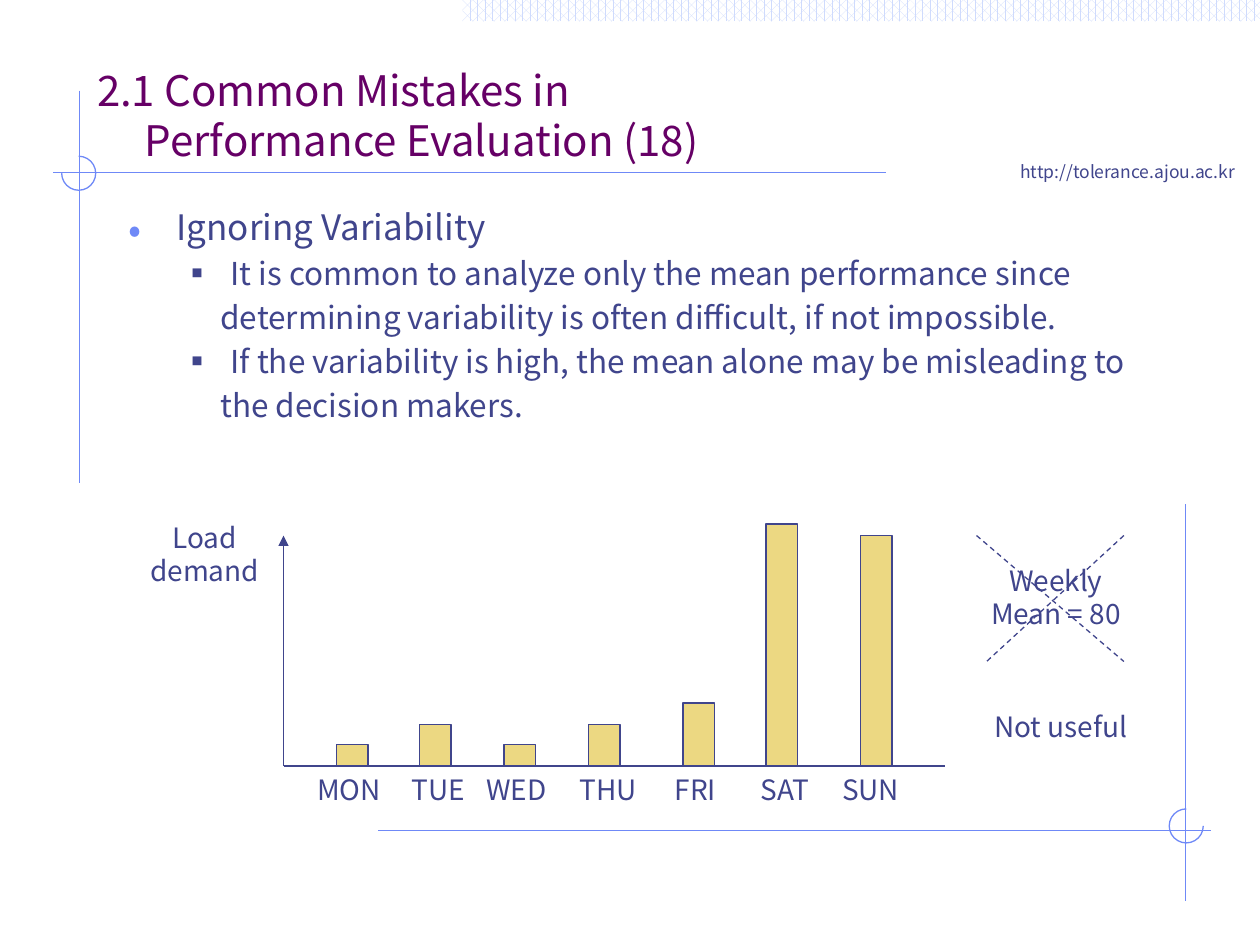
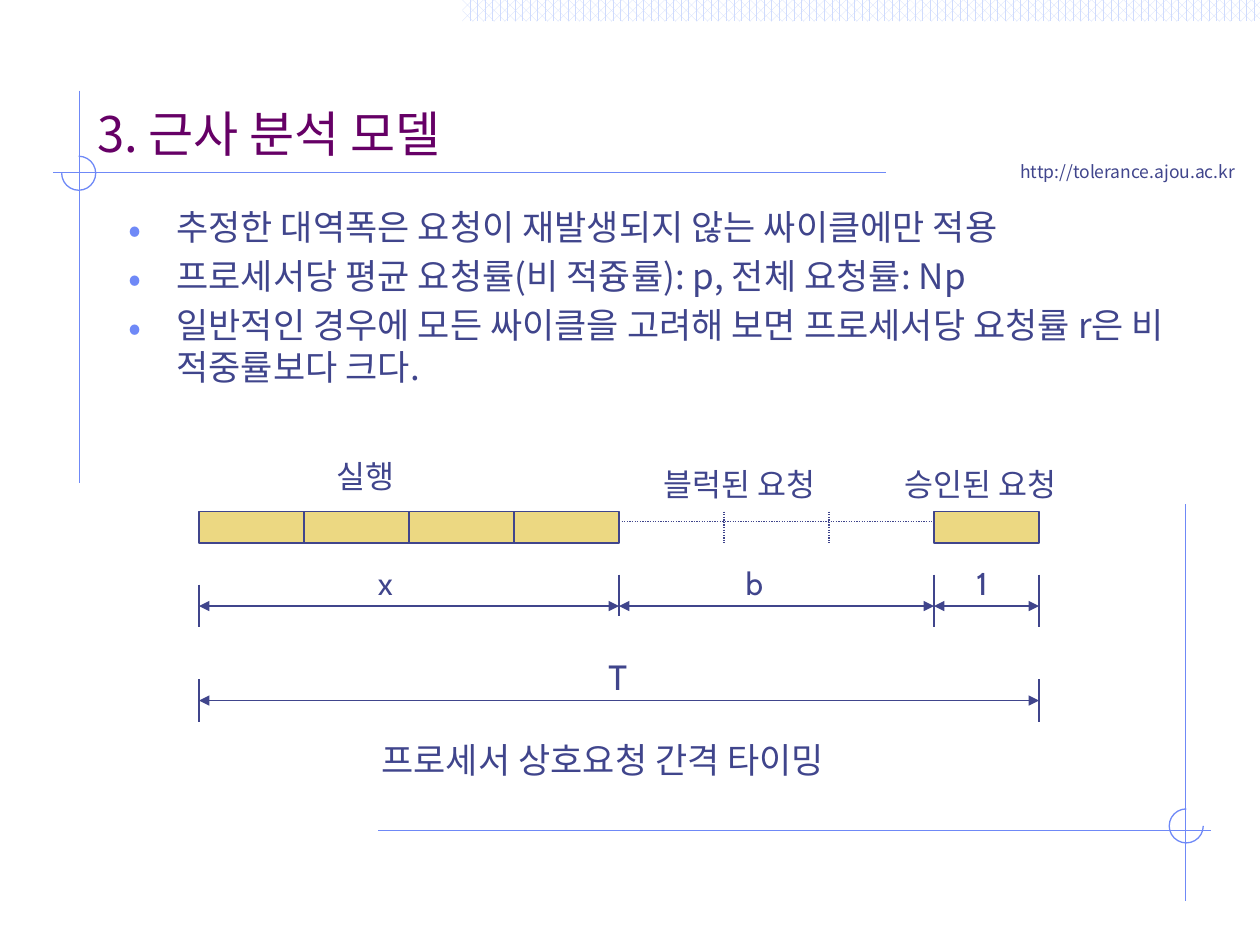
from dataclasses import dataclass

from lxml.etree import SubElement
from pptx import Presentation
from pptx.dml.color import RGBColor
from pptx.enum.dml import MSO_LINE, MSO_PATTERN
from pptx.enum.shapes import MSO_CONNECTOR, MSO_SHAPE
from pptx.enum.text import MSO_ANCHOR, MSO_AUTO_SIZE, PP_ALIGN
from pptx.oxml.ns import qn
from pptx.util import Inches, Pt


@dataclass(frozen=True)
class Theme:
    ink: str = "40458C"
    accent: str = "6F89F7"
    title: str = "660066"
    bar: str = "ECD882"
    band: str = "CFDBFD"
    paper: str = "FFFFFF"
    font: str = "Noto Sans CJK KR"
    diagram_font: str = "Cabin"
    line: float = 0.75
    small: int = 10
    label: int = 16
    detail: int = 18
    body: int = 20
    title_long: int = 24
    title_short: int = 28


THEME = Theme()

# Shared frame: lines, then arcs as (left, top, start degrees, end degrees)
SITE = "http://tolerance.ajou.ac.kr"
FRAME_LINES = [
    (3, 6.59, 9.61, 6.59), (9.41, 4, 9.41, 7.15),
    (0.63, 0.72, 0.63, 3.83), (7.03, 1.37, 0.42, 1.37),
]
FRAME_ARCS = [(9.28, 6.42, 0, 270), (0.49, 1.24, 270, 180)]
ARC_SIZE = 0.27

# Paragraph styles: left margin, indent, size, bullet (character, colour, percent)
STYLES = {
    "point": (0.38, -0.38, THEME.body, ("•", THEME.accent, 110)),
    "detail": (0.81, -0.31, THEME.detail, ("■", THEME.ink, 35)),
    "more": (0.73, 0, THEME.detail, None),
}

# Slide 1 content
MISTAKES_TITLE = [("2.1 Common Mistakes in", 0), ("Performance Evaluation (18)", 0.38)]
MISTAKES_BODY = [
    ("point", "Ignoring Variability"),
    ("detail", "It is common to analyze only the mean performance since"),
    ("more", "determining variability is often difficult, if not impossible."),
    ("detail", "If the variability is high, the mean alone may be misleading to"),
    ("more", "the decision makers."),
]
# Day, bar left, bar height, label centre
DAYS = [
    ("MON", 2.67, 0.17, 2.77), ("TUE", 3.33, 0.33, 3.48), ("WED", 4, 0.17, 4.1),
    ("THU", 4.67, 0.33, 4.83), ("FRI", 5.42, 0.5, 5.52),
    ("SAT", 6.08, 1.92, 6.23), ("SUN", 6.83, 1.83, 6.91),
]
LOAD_NOTES = [
    ("Load demand", 1, 4.08, 1.25, 0.64),
    ("Weekly Mean = 80", 7.67, 4.42, 1.42, 0.64),
    ("Not useful", 7.67, 5.58, 1.5, 0.37),
]
CROSS = [(8.92, 4.25, 7.83, 5.25), (7.75, 4.25, 8.92, 5.25)]

# Slide 2 content
MODEL_TITLE = [("3. 근사 분석 모델", 0)]
MODEL_BODY = [
    ("point", "추정한 대역폭은 요청이 재발생되지 않는 싸이클에만 적용"),
    ("point", "프로세서당 평균 요청률(비 적즁률): p, 전체 요청률: Np"),
    ("point", "일반적인 경우에 모든 싸이클을 고려해 보면 프로세서당 요청률 r은 비 적중률보다 크다."),
]
# Cycle positions count from the left end of the timing bar
BUSY_CYCLES = [0, 1, 2, 3, 7]
BLOCKED_MARKS = [5, 6]
# Cycle, top, bottom
TICKS = [(0, 4.64, 4.98), (4, 4.56, 4.89), (7, 4.56, 4.98), (8, 4.56, 4.98),
         (0, 5.39, 5.73), (8, 5.39, 5.73)]
# First cycle, last cycle, height on the slide
SPANS = [(0, 4, 4.81), (4, 7, 4.81), (7, 8, 4.81), (0, 8, 5.56)]
# Text, left, top, width, size
TIMING_LABELS = [
    ("실행", 2.57, 3.58, 0.7, THEME.detail),
    ("블럭된 요청", 5.17, 3.64, 1.53, THEME.detail),
    ("승인된 요청", 7.08, 3.64, 1.53, THEME.detail),
    ("x", 2.9, 4.43, 0.32, THEME.detail),
    ("b", 5.82, 4.43, 0.34, THEME.detail),
    ("1", 7.65, 4.43, 0.34, THEME.detail),
    ("T", 4.73, 5.15, 0.36, THEME.body),
    ("프로세서 상호요청 간격 타이밍", 2.93, 5.81, 4.07, THEME.body),
]


# Drawing helpers
def rgb(value):
    return RGBColor.from_string(value)


def place(shape, left, top, width, height):
    shape.left, shape.top = Inches(left), Inches(top)
    shape.width, shape.height = Inches(width), Inches(height)


def add_span(para, text, size, color=THEME.ink, font=THEME.font):
    span = para.add_run()
    span.text = text
    span.font.size = Pt(size)
    span.font.color.rgb = rgb(color)
    span.font.name = font
    east_asian = SubElement(span.font._element, qn("a:ea"))
    east_asian.set("typeface", THEME.font)


def add_label(page, text, left, top, width, height, size,
              font=THEME.font, align=PP_ALIGN.LEFT, wrap=False):
    box = page.shapes.add_textbox(*map(Inches, (left, top, width, height)))
    box.text_frame.word_wrap = wrap
    para = box.text_frame.paragraphs[0]
    para.alignment = align
    add_span(para, text, size, font=font)
    return box


def add_line(page, x1, y1, x2, y2, color=THEME.ink, dash=None, arrows=()):
    line = page.shapes.add_connector(MSO_CONNECTOR.STRAIGHT, *map(Inches, (x1, y1, x2, y2)))
    line.line.color.rgb = rgb(color)
    line.line.width = Pt(THEME.line)
    if dash:
        line.line.dash_style = dash
    for end in arrows:
        SubElement(line.line._get_or_add_ln(), qn(f"a:{end}")).set("type", "triangle")
    SubElement(line._element.spPr, qn("a:effectLst"))
    return line


def add_preset(page, kind, left, top, width, height):
    shape = page.shapes.add_shape(kind, *map(Inches, (left, top, width, height)))
    shape.shadow.inherit = False
    shape.line.width = Pt(THEME.line)
    return shape


def add_bar(page, left, top, width, height):
    bar = add_preset(page, MSO_SHAPE.RECTANGLE, left, top, width, height)
    bar.fill.solid()
    bar.fill.fore_color.rgb = rgb(THEME.bar)
    bar.line.color.rgb = rgb(THEME.ink)


def set_indent(para, margin, indent, bullet=None):
    props = para._p.get_or_add_pPr()
    props.set("marL", str(Inches(margin)))
    props.set("indent", str(Inches(indent)))
    if not bullet:
        SubElement(props, qn("a:buNone"))
        return
    char, color, percent = bullet
    SubElement(SubElement(props, qn("a:buClr")), qn("a:srgbClr")).set("val", color)
    SubElement(props, qn("a:buSzPct")).set("val", str(percent * 1000))
    SubElement(props, qn("a:buFont")).set("typeface", THEME.font)
    SubElement(props, qn("a:buChar")).set("char", char)


# Shared parts
def build_frame(deck, page):
    """Draw the frame on a page, then move it to the master."""
    band = add_preset(page, MSO_SHAPE.RECTANGLE, 3.67, 0, 6.33, 0.17)
    band.fill.patterned()
    band.fill.pattern = MSO_PATTERN.PERCENT_60
    band.fill.fore_color.rgb = rgb(THEME.band)
    band.fill.back_color.rgb = rgb(THEME.paper)
    band.line.fill.background()
    parts = [band, add_label(page, SITE, 8, 1.23, 1.9, 0.27, THEME.small)]
    parts += [add_line(page, *ends, color=THEME.accent) for ends in FRAME_LINES]
    for left, top, start, end in FRAME_ARCS:
        arc = add_preset(page, MSO_SHAPE.ARC, left, top, ARC_SIZE, ARC_SIZE)
        arc.adjustments[0], arc.adjustments[1] = start * 0.6, end * 0.6
        arc.fill.background()
        arc.line.color.rgb = rgb(THEME.accent)
        parts.append(arc)
    for part in parts:
        deck.slide_master.shapes.element.append(part.element)


def add_page(deck, title, title_size, title_area, body, body_area):
    page = deck.slides.add_slide(deck.slide_layouts[1])
    heading, content = page.shapes.title, page.placeholders[1]
    place(heading, *title_area)
    place(content, *body_area)
    for holder, anchor in ((heading, MSO_ANCHOR.BOTTOM), (content, MSO_ANCHOR.TOP)):
        holder.text_frame.auto_size = MSO_AUTO_SIZE.NONE
        holder.text_frame.vertical_anchor = anchor
        holder.text_frame.word_wrap = True

    def next_para(frame, index):
        return frame.add_paragraph() if index else frame.paragraphs[0]

    for index, (text, margin) in enumerate(title):
        para = next_para(heading.text_frame, index)
        set_indent(para, margin, 0)
        para.alignment = PP_ALIGN.LEFT
        add_span(para, text, title_size, THEME.title)
    for index, (style, text) in enumerate(body):
        margin, indent, size, bullet = STYLES[style]
        para = next_para(content.text_frame, index)
        para.level = 0 if style == "point" else 1
        set_indent(para, margin, indent, bullet)
        para.space_before = Pt(size * 0.2 if index else 0)
        add_span(para, text, size)
    return page


# Slide 1: weekly load
def draw_load(page):
    base, axis, bar_width, label_width = 6.08, 2.25, 0.25, 0.9
    add_line(page, axis, base, 7.5, base)
    add_line(page, axis, base, axis, 4.25, arrows=["tailEnd"])
    for day, left, height, centre in DAYS:
        add_bar(page, left, base - height, bar_width, height)
        add_label(page, day, centre - label_width / 2, base, label_width, 0.37,
                  THEME.label, align=PP_ALIGN.CENTER)
    for text, *area in LOAD_NOTES:
        add_label(page, text, *area, THEME.label, align=PP_ALIGN.CENTER, wrap=True)
    for ends in CROSS:
        add_line(page, *ends, dash=MSO_LINE.DASH)


# Slide 2: request timing
def draw_timing(page):
    cycle, top, height = 5 / 6, 4.06, 0.25

    def at(count):
        return 1.58 + count * cycle

    for count in BUSY_CYCLES:
        add_bar(page, at(count), top, cycle, height)
    add_line(page, at(4), 4.14, at(7), 4.14, dash=MSO_LINE.ROUND_DOT)
    for count in BLOCKED_MARKS:
        add_line(page, at(count), top, at(count), top + height, dash=MSO_LINE.ROUND_DOT)
    for count, start, end in TICKS:
        add_line(page, at(count), start, at(count), end)
    for first, last, y in SPANS:
        add_line(page, at(first), y, at(last), y, arrows=["headEnd", "tailEnd"])
    for text, left, label_top, width, size in TIMING_LABELS:
        add_label(page, text, left, label_top, width, 0.4, size, THEME.diagram_font)


def main():
    deck = Presentation()
    deck.slide_width, deck.slide_height = Inches(10), Inches(7.5)
    load = add_page(deck, MISTAKES_TITLE, THEME.title_long, (0.67, 0.36, 7.08, 1),
                    MISTAKES_BODY, (0.92, 1.58, 8.5, 5))
    build_frame(deck, load)
    draw_load(load)
    timing = add_page(deck, MODEL_TITLE, THEME.title_short, (0.67, 0.67, 7.08, 0.67),
                      MODEL_BODY, (0.92, 1.58, 8.5, 1.67))
    draw_timing(timing)
    deck.save("out.pptx")


if __name__ == "__main__":
    main()
